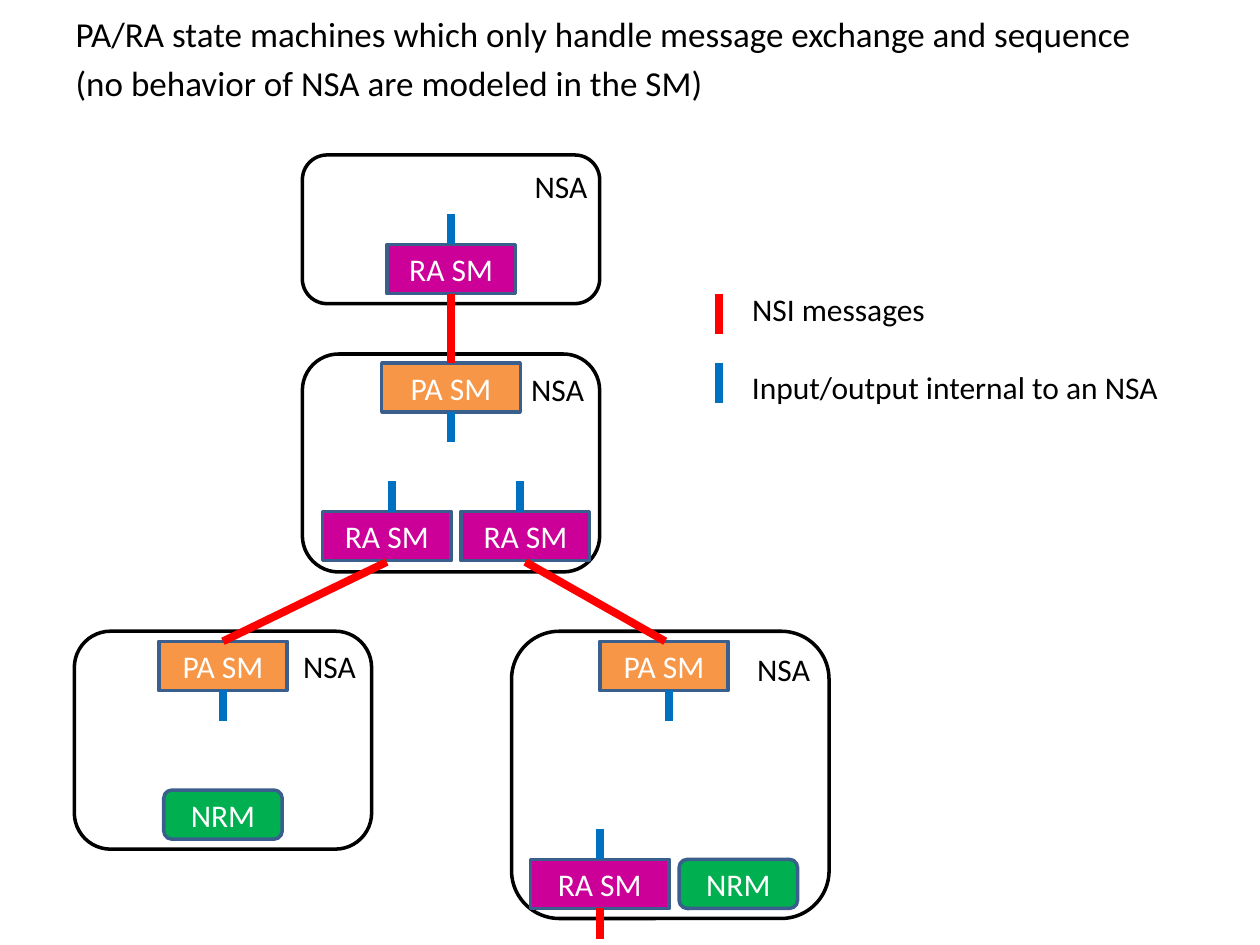
from dataclasses import dataclass

from lxml import etree
from pptx import Presentation
from pptx.dml.color import RGBColor
from pptx.enum.shapes import MSO_CONNECTOR, MSO_SHAPE
from pptx.enum.text import MSO_ANCHOR, MSO_AUTO_SIZE, PP_ALIGN
from pptx.oxml.ns import qn
from pptx.util import Inches, Pt

RECT, ROUND = MSO_SHAPE.RECTANGLE, MSO_SHAPE.ROUNDED_RECTANGLE
STRAIGHT = MSO_CONNECTOR.STRAIGHT
TOP, MIDDLE = MSO_ANCHOR.TOP, MSO_ANCHOR.MIDDLE
LEFT, CENTER, RIGHT = PP_ALIGN.LEFT, PP_ALIGN.CENTER, PP_ALIGN.RIGHT
FIXED, GROW = MSO_AUTO_SIZE.NONE, MSO_AUTO_SIZE.SHAPE_TO_FIT_TEXT
TITLE_ONLY = 5


@dataclass(frozen=True)
class Theme:
    font: str = "Calibri"
    head: int = 20
    label: int = 18
    ink: str = "000000"
    paper: str = "FFFFFF"
    edge: str = "3A5F8C"
    ra: str = "CC0099"
    pa: str = "F79646"
    nrm: str = "00B050"
    message: str = "FF0000"
    inner: str = "0070C0"
    border: float = 2
    link: float = 4.5
    height: float = 0.39
    stub: float = 0.24


class Diagram:
    """Draws the parts of a state machine diagram on one slide in one theme."""

    def __init__(self, slide, theme):
        self.slide = slide
        self.theme = theme

    def style(self, para, size, color, align):
        para.alignment = align
        para.font.name = self.theme.font
        para.font.size = Pt(size)
        para.font.color.rgb = RGBColor.from_string(color)

    def title(self, lines, left, top, width, height):
        shape = self.slide.shapes.title
        shape.left, shape.top = Inches(left), Inches(top)
        shape.width, shape.height = Inches(width), Inches(height)
        frame = shape.text_frame
        frame.text = "\n".join(lines)
        frame.auto_size = FIXED
        frame.vertical_anchor = TOP
        for index, para in enumerate(frame.paragraphs):
            self.style(para, self.theme.head, self.theme.ink, LEFT)
            para.space_before = Pt(4 if index else 0)

    def box(self, kind, text, left, top, width, height, fill=None):
        theme = self.theme
        shape = self.slide.shapes.add_shape(
            kind, Inches(left), Inches(top), Inches(width), Inches(height))
        shape.shadow.inherit = False
        shape.line.width = Pt(theme.border)
        shape.line.color.rgb = RGBColor.from_string(theme.edge if fill else theme.ink)
        if fill:
            shape.fill.solid()
            shape.fill.fore_color.rgb = RGBColor.from_string(fill)
        else:
            shape.fill.background()
        frame = shape.text_frame
        frame.text = text
        frame.word_wrap = True
        frame.vertical_anchor = MIDDLE if fill else TOP
        frame.margin_left = frame.margin_right = Inches(0.04)
        frame.margin_top = frame.margin_bottom = Inches(0.04)
        self.style(frame.paragraphs[0], theme.label,
                   theme.paper if fill else theme.ink, CENTER if fill else RIGHT)

    def agent(self, left, top, width, height):
        self.box(ROUND, "NSA", left, top, width, height)

    def line(self, color, start, end):
        ends = [Inches(value) for value in (*start, *end)]
        shape = self.slide.shapes.add_connector(STRAIGHT, *ends)
        shape.line.width = Pt(self.theme.link)
        shape.line.color.rgb = RGBColor.from_string(color)
        etree.SubElement(shape._element.spPr, qn("a:effectLst"))

    def ra(self, left, top, width, port):
        self.box(RECT, "RA SM", left, top, width, self.theme.height, self.theme.ra)
        self.line(self.theme.inner, (port, top - self.theme.stub), (port, top))

    def pa(self, left, top, width, port):
        self.box(RECT, "PA SM", left, top, width, self.theme.height, self.theme.pa)
        base = top + self.theme.height
        self.line(self.theme.inner, (port, base), (port, base + self.theme.stub))

    def nrm(self, left, top):
        self.box(ROUND, "NRM", left, top, 0.94, self.theme.height, self.theme.nrm)

    def key(self, text, color, top, text_top, width):
        self.line(color, (5.71, top), (5.71, top + 0.32))
        shape = self.slide.shapes.add_textbox(
            Inches(5.87), Inches(text_top), Inches(width), Inches(0.4))
        frame = shape.text_frame
        frame.text = text
        frame.word_wrap = False
        frame.auto_size = GROW
        self.style(frame.paragraphs[0], self.theme.label, self.theme.ink, LEFT)


def main():
    deck = Presentation()
    deck.slide_width, deck.slide_height = Inches(10), Inches(7.5)
    theme = Theme()
    draw = Diagram(deck.slides.add_slide(deck.slide_layouts[TITLE_ONLY]), theme)

    draw.title(["PA/RA state machines which only handle message exchange and sequence",
                "(no behavior of NSA are modeled in the SM)"], 0.5, 0.05, 9, 1.18)

    for place in ((2.4, 1.23, 2.36, 1.18), (2.4, 2.81, 2.36, 1.73),
                  (0.59, 5.01, 2.36, 1.73), (4.06, 5.01, 2.52, 2.28)):
        draw.agent(*place)

    for place in ((3.07, 1.94, 1.02, 3.58), (2.56, 4.06, 1.02, 3.11),
                  (3.66, 4.06, 1.02, 4.13), (4.21, 6.82, 1.1, 4.76)):
        draw.ra(*place)

    for place in ((3.03, 2.88, 1.1, 3.58), (1.26, 5.09, 1.02, 1.77),
                  (4.76, 5.09, 1.02, 5.31)):
        draw.pa(*place)

    draw.nrm(1.3, 6.27)
    draw.nrm(5.39, 6.82)

    for start, end in (((3.58, 2.33), (3.58, 2.88)), ((3.07, 4.46), (1.77, 5.09)),
                       ((4.17, 4.46), (5.28, 5.09)), ((4.76, 7.21), (4.76, 7.45))):
        draw.line(theme.message, start, end)

    draw.key("NSI messages", theme.message, 2.33, 2.25, 1.65)
    draw.key("Input/output internal to an NSA", theme.inner, 2.88, 2.87, 3.46)

    deck.save("out.pptx")


if __name__ == "__main__":
    main()
